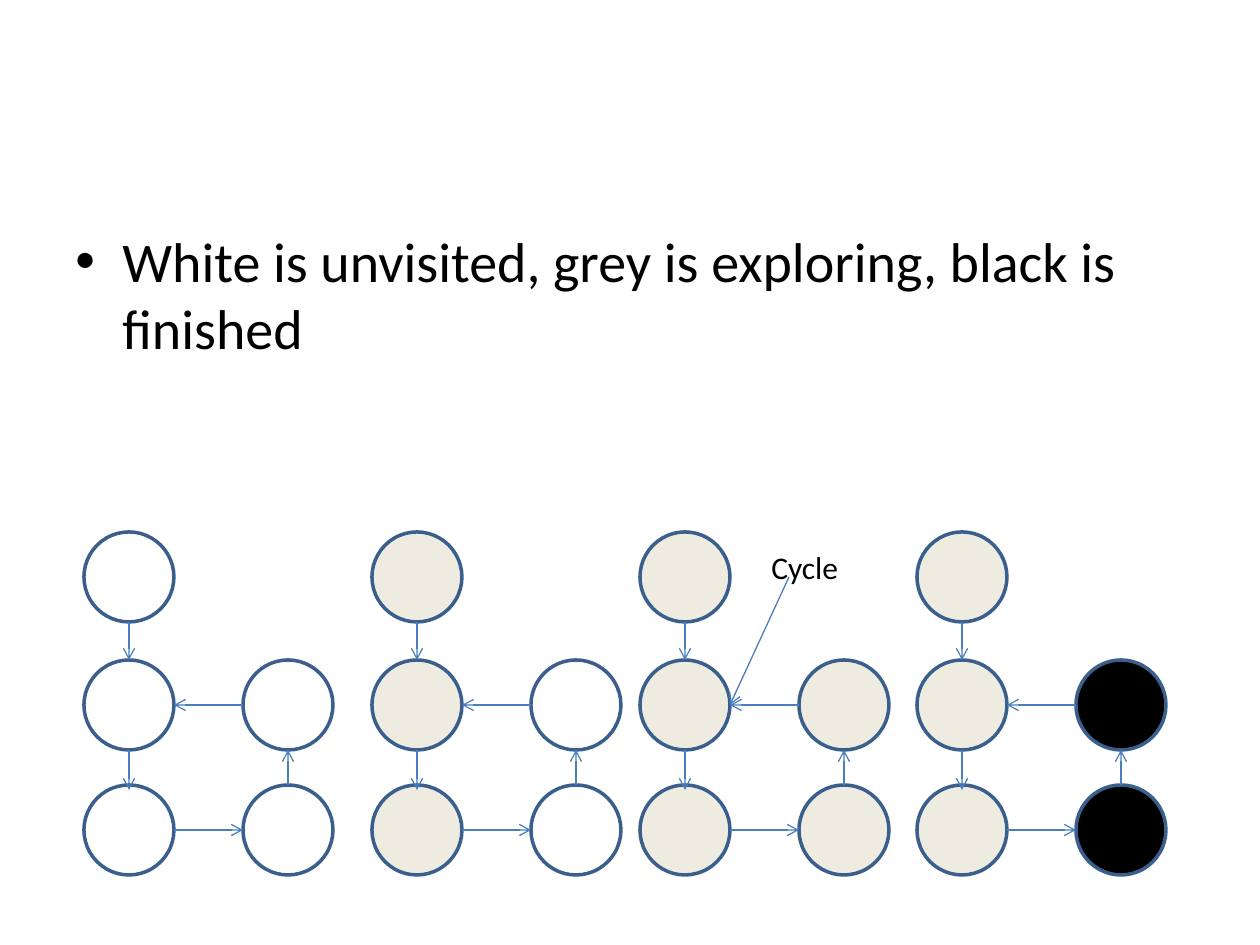
from lxml import etree
from pptx import Presentation
from pptx.dml.color import RGBColor
from pptx.enum.shapes import MSO_CONNECTOR, MSO_SHAPE
from pptx.oxml.ns import qn
from pptx.util import Emu, Pt

PX_PER_INCH = 126
WHITE, GREY, BLACK = "FFFFFF", "EEECE1", "000000"

DIAMETER = 90
RADIUS = DIAMETER // 2
COLUMN_STEP = 159
TOP_ROW, MIDDLE_ROW, BOTTOM_ROW = 532, 660, 785
ARROW_OVERLAP = 5

# left edge, colour of the left column, colour of the right column
GRAPHS = [
    (84, WHITE, WHITE),
    (372, GREY, WHITE),
    (640, GREY, GREY),
    (917, GREY, BLACK),
]


def px(length):
    return Emu(round(length * 914400 / PX_PER_INCH))


def color(hex_string):
    return RGBColor.from_string(hex_string)


class SlideBuilder:
    font_name = "Calibri"
    text_color = BLACK
    outline_color = "3A5F8C"
    arrow_color = "4B7EBC"

    def __init__(self, slide):
        self.slide = slide

    def text(self, left, top, width, height, words, size):
        """Add a one-paragraph text box and return its paragraph."""
        box = self.slide.shapes.add_textbox(px(left), px(top), px(width), px(height))
        box.text_frame.word_wrap = True
        paragraph = box.text_frame.paragraphs[0]
        paragraph.text = words
        paragraph.font.name = self.font_name
        paragraph.font.size = Pt(size)
        paragraph.font.color.rgb = color(self.text_color)
        return paragraph

    def bullet(self, left, top, width, height, words, size, indent):
        paragraph = self.text(left, top, width, height, words, size)
        paragraph.space_before = Pt(size * 0.2)
        properties = paragraph._p.get_or_add_pPr()
        properties.set("marL", str(px(indent)))
        properties.set("indent", str(-px(indent)))
        bullet_font = etree.Element(qn("a:buFont"), typeface="Arial")
        bullet_char = etree.Element(qn("a:buChar"), char="•")
        properties.find(qn("a:spcBef")).addnext(bullet_font)
        bullet_font.addnext(bullet_char)

    def node(self, left, top, fill):
        shape = self.slide.shapes.add_shape(
            MSO_SHAPE.OVAL, px(left), px(top), px(DIAMETER), px(DIAMETER))
        shape.shadow.inherit = False
        shape.fill.solid()
        shape.fill.fore_color.rgb = color(fill)
        shape.line.color.rgb = color(self.outline_color)
        shape.line.width = Pt(2)

    def arrow(self, x1, y1, x2, y2):
        connector = self.slide.shapes.add_connector(
            MSO_CONNECTOR.STRAIGHT, px(x1), px(y1), px(x2), px(y2))
        connector.line.color.rgb = color(self.arrow_color)
        connector.line.width = Pt(0.75)
        etree.SubElement(connector.line._get_or_add_ln(), qn("a:tailEnd"), type="arrow")
        etree.SubElement(connector._element.spPr, qn("a:effectLst"))

    def graph(self, left, left_fill, right_fill):
        """Draw five nodes: a start node leading into a cycle of four."""
        right = left + COLUMN_STEP
        for top in (TOP_ROW, MIDDLE_ROW, BOTTOM_ROW):
            self.node(left, top, left_fill)
        for top in (MIDDLE_ROW, BOTTOM_ROW):
            self.node(right, top, right_fill)

        left_center, right_center = left + RADIUS, right + RADIUS
        left_edge = left + DIAMETER
        middle, bottom = MIDDLE_ROW + RADIUS, BOTTOM_ROW + RADIUS
        self.arrow(left_center, TOP_ROW + DIAMETER, left_center, MIDDLE_ROW)
        self.arrow(left_center, MIDDLE_ROW + DIAMETER,
                   left_center, BOTTOM_ROW + ARROW_OVERLAP)
        self.arrow(left_edge, bottom, right, bottom)
        self.arrow(right_center, BOTTOM_ROW, right_center, MIDDLE_ROW + DIAMETER)
        self.arrow(right, middle, left_edge, middle)


def main():
    presentation = Presentation()
    presentation.slide_width = px(1260)
    presentation.slide_height = px(945)
    slide = presentation.slides.add_slide(presentation.slide_layouts[6])
    builder = SlideBuilder(slide)

    builder.bullet(63, 220, 1134, 624,
                   "White is unvisited, grey is exploring, black is finished",
                   size=32, indent=47)
    for left, left_fill, right_fill in GRAPHS:
        builder.graph(left, left_fill, right_fill)

    cycle_left = GRAPHS[2][0]
    builder.arrow(789, TOP_ROW + RADIUS, cycle_left + DIAMETER, MIDDLE_ROW + RADIUS)
    builder.text(759, 542, 100, 50, "Cycle", size=18)

    presentation.save("out.pptx")


if __name__ == "__main__":
    main()
